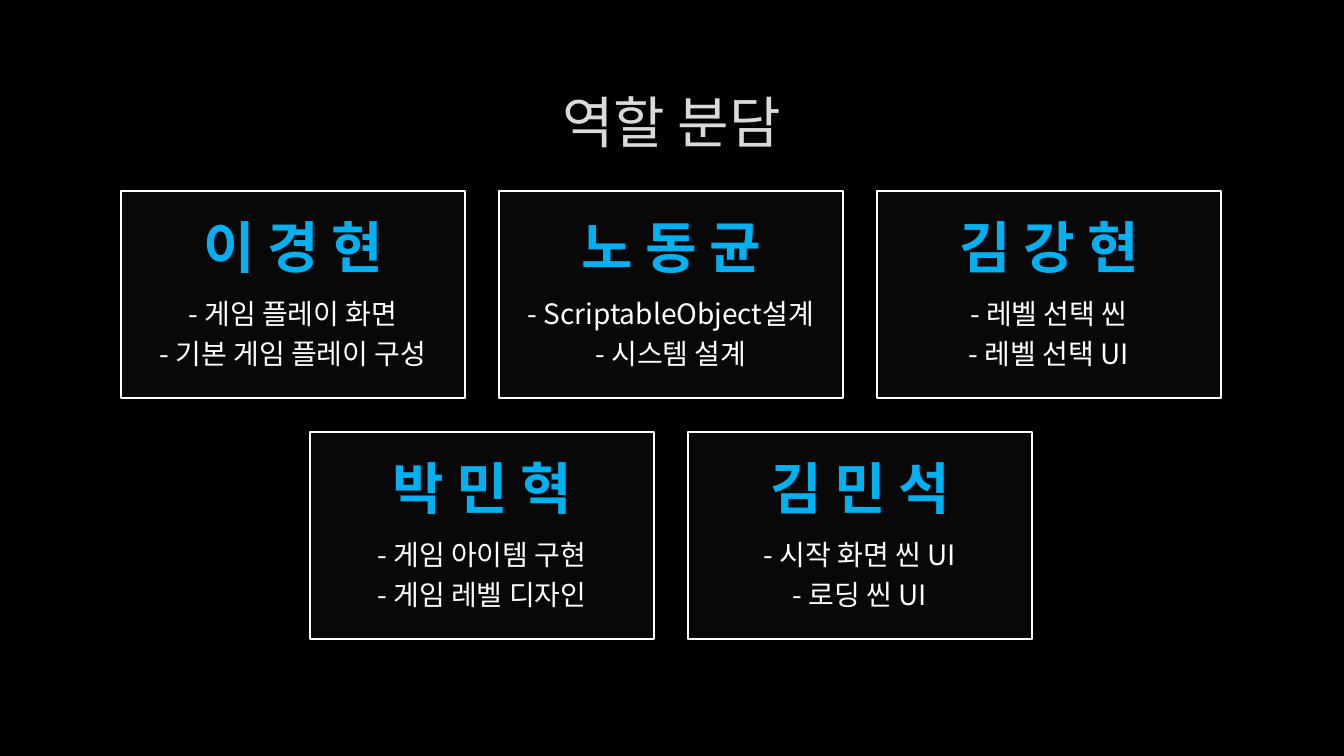
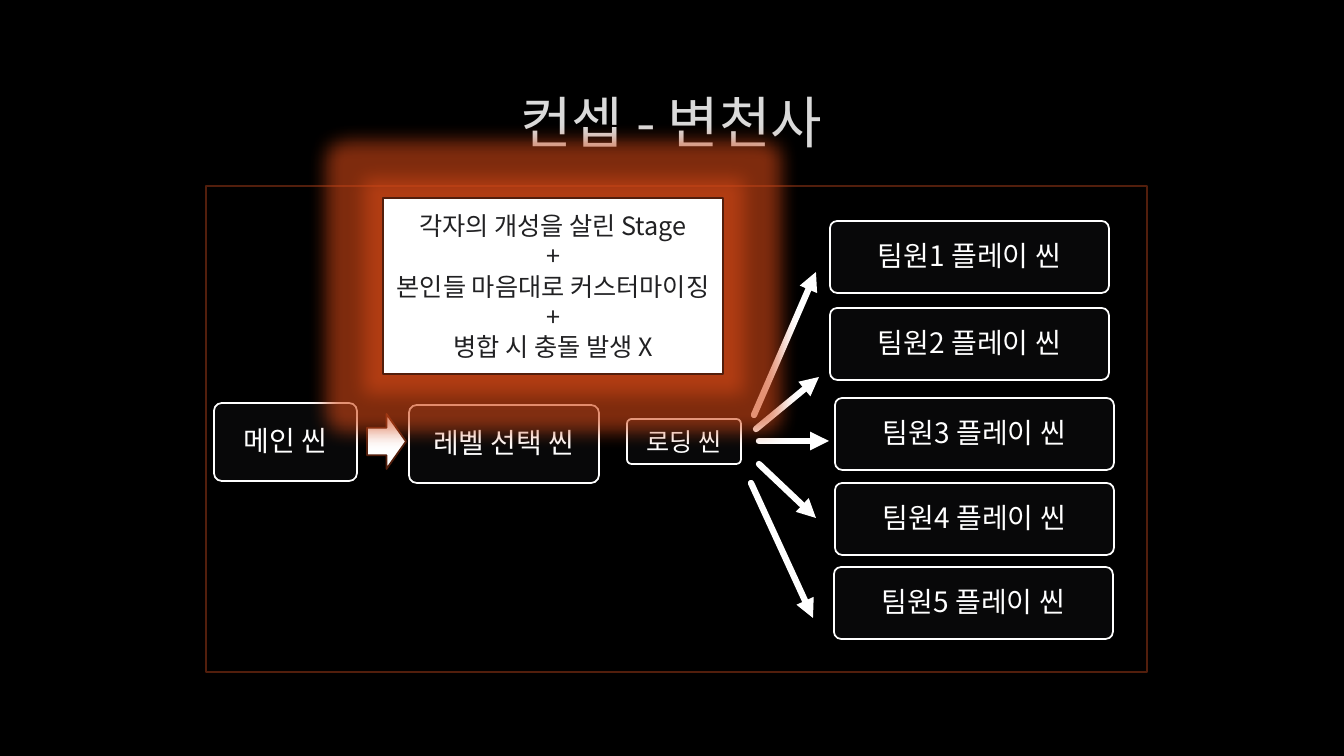
from collections.abc import Sequence
from dataclasses import dataclass
from typing import NamedTuple

from lxml.etree import SubElement
from pptx import Presentation
from pptx.dml.color import RGBColor
from pptx.enum.shapes import MSO_CONNECTOR, MSO_SHAPE
from pptx.enum.text import MSO_ANCHOR, PP_ALIGN
from pptx.oxml import parse_xml
from pptx.oxml.ns import nsdecls, qn
from pptx.shapes.autoshape import Shape
from pptx.slide import Slide
from pptx.util import Emu, Pt

PIXELS_PER_INCH = 100.8
TITLE_ONLY_LAYOUT = 5


@dataclass(frozen=True)
class TextStyle:
    size: int
    color: str
    line_height: float
    space_after: int = 0
    bold: bool = False


@dataclass(frozen=True)
class Theme:
    font: str = "Noto Sans CJK KR"
    background: str = "000000"
    panel: str = "080809"
    white: str = "FFFFFF"
    rust: str = "521E0C"
    glow: str = "D34817"
    title_outline: str = "404040"
    border_width: float = 1.25
    arrow_width: float = 4.5
    title: TextStyle = TextStyle(40, "DADADA", 48)
    name: TextStyle = TextStyle(40, "00B0F0", 43.2, 14, True)
    body: TextStyle = TextStyle(20, "FFFFFF", 21.6, 7)
    small: TextStyle = TextStyle(18, "FFFFFF", 21.6)
    note: TextStyle = TextStyle(18, "212123", 21.6)


THEME = Theme()


class Box(NamedTuple):
    left: int
    top: int
    width: int
    height: int


class Line(NamedTuple):
    text: str
    style: TextStyle


class Member(NamedTuple):
    name: str
    roles: tuple[str, ...]


class Scene(NamedTuple):
    text: str
    box: Box
    style: TextStyle = THEME.body


class Arrow(NamedTuple):
    start_x: int
    start_y: int
    end_x: int
    end_y: int


MEMBER_ROWS = (
    (
        Member("이 경 현", ("- 게임 플레이 화면", "- 기본 게임 플레이 구성")),
        Member("노 동 균", ("- ScriptableObject설계", "- 시스템 설계")),
        Member("김 강 현", ("- 레벨 선택 씬", "- 레벨 선택 UI")),
    ),
    (
        Member("박 민 혁", ("- 게임 아이템 구현", "- 게임 레벨 디자인")),
        Member("김 민 석", ("- 시작 화면 씬 UI", "- 로딩 씬 UI")),
    ),
)
CARD_WIDTH, CARD_HEIGHT, CARD_GAP = 344, 207, 34
CARDS_TOP, CARDS_CENTER = 191, 671

MEMBER_SCENE_CORNERS = ((830, 221), (830, 308), (835, 398), (835, 483), (834, 567))
SCENES = (
    Scene("메인 씬", Box(214, 403, 143, 78)),
    Scene("레벨 선택 씬", Box(409, 405, 190, 78)),
    Scene("로딩 씬", Box(627, 419, 114, 45), THEME.small),
    *(
        Scene(f"팀원{number} 플레이 씬", Box(left, top, 279, 72))
        for number, (left, top) in enumerate(MEMBER_SCENE_CORNERS, start=1)
    ),
)
ARROWS = (
    Arrow(754, 415, 816, 272),
    Arrow(756, 429, 819, 377),
    Arrow(759, 441, 829, 441),
    Arrow(759, 464, 816, 518),
    Arrow(751, 483, 813, 618),
)
NOTE_LINES = (
    "각자의 개성을 살린 Stage",
    "+",
    "본인들 마음대로 커스터마이징",
    "+",
    "병합 시 충돌 발생 X",
)


def px(value: int) -> Emu:
    return Emu(round(value * 914400 / PIXELS_PER_INCH))


def rgb(color: str) -> RGBColor:
    return RGBColor.from_string(color)


def write_lines(shape: Shape, lines: Sequence[Line], inset: int) -> None:
    frame = shape.text_frame
    frame.text = "\n".join(line.text for line in lines)
    frame.word_wrap = True
    frame.vertical_anchor = MSO_ANCHOR.MIDDLE
    frame.margin_left = frame.margin_right = px(inset)
    frame.margin_top = frame.margin_bottom = px(inset)
    for paragraph, line in zip(frame.paragraphs, lines):
        style = line.style
        paragraph.alignment = PP_ALIGN.CENTER
        paragraph.line_spacing = Pt(style.line_height)
        paragraph.space_after = Pt(style.space_after)
        for run in paragraph.runs:
            run.font.size = Pt(style.size)
            run.font.bold = style.bold
            run.font.color.rgb = rgb(style.color)
            run.font.name = THEME.font
            east_asian = SubElement(run.font._element, qn("a:ea"))
            east_asian.set("typeface", THEME.font)


def add_panel(
    slide: Slide,
    kind: MSO_SHAPE,
    box: Box,
    fill: str = THEME.panel,
    border: str = THEME.white,
) -> Shape:
    shape = slide.shapes.add_shape(kind, *map(px, box))
    shape.shadow.inherit = False
    shape.fill.solid()
    shape.fill.fore_color.rgb = rgb(fill)
    shape.line.color.rgb = rgb(border)
    shape.line.width = Pt(THEME.border_width)
    return shape


def add_titled_slide(presentation: Presentation, text: str) -> Slide:
    slide = presentation.slides.add_slide(presentation.slide_layouts[TITLE_ONLY_LAYOUT])
    title = slide.shapes.title
    title.left, title.top, title.width, title.height = map(px, Box(101, 68, 1141, 107))
    write_lines(title, [Line(text, THEME.title)], 5)
    outline = parse_xml(
        f'<a:ln {nsdecls("a")} w="9525"><a:solidFill>'
        f'<a:srgbClr val="{THEME.title_outline}"><a:alpha val="10000"/></a:srgbClr>'
        "</a:solidFill></a:ln>"
    )
    title.text_frame.paragraphs[0].runs[0].font._element.insert(0, outline)
    return slide


def add_member_card(slide: Slide, member: Member, left: int, top: int) -> None:
    card = add_panel(slide, MSO_SHAPE.RECTANGLE, Box(left, top, CARD_WIDTH, CARD_HEIGHT))
    roles = [Line(role, THEME.body) for role in member.roles]
    write_lines(card, [Line(member.name, THEME.name), *roles], 17)


def add_scene(slide: Slide, scene: Scene) -> None:
    shape = add_panel(slide, MSO_SHAPE.ROUNDED_RECTANGLE, scene.box)
    shape.adjustments[0] = 0.1
    write_lines(shape, [Line(scene.text, scene.style)], 5)


def add_arrow(slide: Slide, arrow: Arrow) -> None:
    connector = slide.shapes.add_connector(MSO_CONNECTOR.STRAIGHT, *map(px, arrow))
    connector.line.color.rgb = rgb(THEME.white)
    connector.line.width = Pt(THEME.arrow_width)
    properties = connector._element.spPr
    outline = properties.find(qn("a:ln"))
    outline.set("cap", "rnd")
    SubElement(outline, qn("a:tailEnd")).set("type", "triangle")
    SubElement(properties, qn("a:effectLst"))


def add_glow(shape: Shape, radius: int) -> None:
    effects = shape._element.spPr.find(qn("a:effectLst"))
    effects.append(
        parse_xml(
            f'<a:glow {nsdecls("a")} rad="{px(radius)}">'
            f'<a:srgbClr val="{THEME.glow}"><a:alpha val="60000"/></a:srgbClr></a:glow>'
        )
    )


def build_roles(presentation: Presentation) -> None:
    slide = add_titled_slide(presentation, "역할 분담")
    step = CARD_WIDTH + CARD_GAP
    for row, members in enumerate(MEMBER_ROWS):
        left = CARDS_CENTER - (len(members) * step - CARD_GAP) // 2
        top = CARDS_TOP + row * (CARD_HEIGHT + CARD_GAP)
        for column, member in enumerate(members):
            add_member_card(slide, member, left + column * step, top)


def build_concept(presentation: Presentation) -> None:
    slide = add_titled_slide(presentation, "컨셉 - 변천사")
    add_panel(slide, MSO_SHAPE.RECTANGLE, Box(206, 186, 941, 486), THEME.background, THEME.rust)
    for scene in SCENES:
        add_scene(slide, scene)
    add_panel(slide, MSO_SHAPE.RIGHT_ARROW, Box(367, 414, 39, 55), THEME.white, THEME.rust)
    for arrow in ARROWS:
        add_arrow(slide, arrow)
    note = add_panel(slide, MSO_SHAPE.RECTANGLE, Box(383, 198, 340, 176), THEME.white, THEME.rust)
    write_lines(note, [Line(text, THEME.note) for text in NOTE_LINES], 5)
    add_glow(note, 38)


def main() -> None:
    presentation = Presentation()
    presentation.slide_width, presentation.slide_height = px(1344), px(756)
    background = presentation.slide_master.background.fill
    background.solid()
    background.fore_color.rgb = rgb(THEME.background)
    build_roles(presentation)
    build_concept(presentation)
    presentation.save("out.pptx")


if __name__ == "__main__":
    main()
